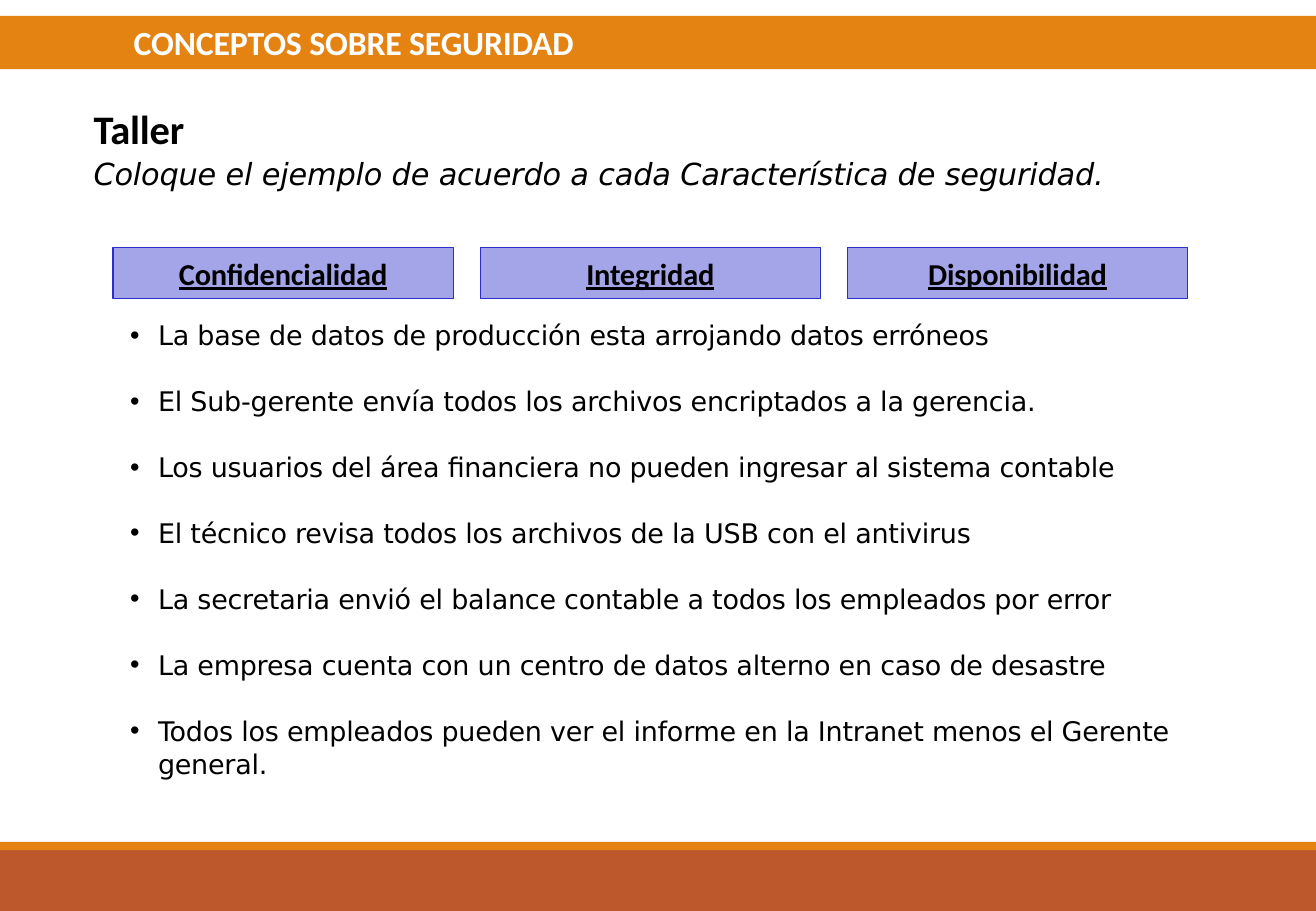
from lxml import etree
from pptx import Presentation
from pptx.dml.color import RGBColor
from pptx.enum.shapes import MSO_SHAPE
from pptx.enum.text import MSO_ANCHOR, MSO_AUTO_SIZE, PP_ALIGN
from pptx.oxml.ns import qn
from pptx.util import Inches, Pt

RECT = MSO_SHAPE.RECTANGLE
TOP, MIDDLE = MSO_ANCHOR.TOP, MSO_ANCHOR.MIDDLE
LEFT, CENTER = PP_ALIGN.LEFT, PP_ALIGN.CENTER
NO_FIT = MSO_AUTO_SIZE.NONE
WIDTH, HEIGHT = Inches(10.83), Inches(7.5)
ORANGE, RUST, LILAC, BLUE = "E48312", "BD582C", "A4A4E9", "2D2DCA"
HEADING, BODY = "Calibri", "DejaVu Sans"

CATEGORIES = ["Confidencialidad", "Integridad", "Disponibilidad"]
EXAMPLES = [
    "La base de datos de producción esta arrojando datos erróneos",
    "El Sub-gerente envía todos los archivos encriptados a la gerencia.",
    "Los usuarios del área financiera no pueden ingresar al sistema contable",
    "El técnico revisa todos los archivos de la USB con el antivirus",
    "La secretaria envió el balance contable a todos los empleados por error",
    "La empresa cuenta con un centro de datos alterno en caso de desastre",
    "Todos los empleados pueden ver el informe en la Intranet menos el Gerente general.",
]


def color(value):
    return RGBColor.from_string(value)


def share(x, y, w, h):
    return [int(part * size / 100)
            for part, size in zip((x, y, w, h), (WIDTH, HEIGHT, WIDTH, HEIGHT))]


def move(sp, box):
    sp.left, sp.top, sp.width, sp.height = share(*box)


def paint(sp, fill, line=None):
    sp.fill.solid()
    sp.fill.fore_color.rgb = color(fill)
    if line:
        sp.line.color.rgb = color(line)
        sp.line.width = Pt(0.72)
    else:
        sp.line.fill.background()


def add_bar(s, box, fill, line=None):
    sp = s.shapes.add_shape(RECT, *share(*box))
    sp.shadow.inherit = False
    paint(sp, fill, line)
    return sp


def add_bullet(p):
    pPr = p._p.get_or_add_pPr()
    pPr.set("marL", str(Inches(0.25)))
    pPr.set("indent", str(-Inches(0.23)))
    etree.SubElement(pPr, qn("a:buChar")).set("char", "•")


def write(sp, *texts, font=HEADING, size=18, fill="000000", bold=False, italic=False,
          underline=False, align=LEFT, anchor=TOP, left=0, bullets=False,
          leading=1.0, gap=0):
    tf = sp.text_frame
    tf.word_wrap, tf.auto_size, tf.vertical_anchor = True, NO_FIT, anchor
    tf.margin_left = Inches(left)
    tf.margin_top = tf.margin_right = tf.margin_bottom = 0
    for i, text in enumerate(texts):
        p = tf.add_paragraph() if i else tf.paragraphs[0]
        if bullets:
            add_bullet(p)
        p.alignment, p.line_spacing = align, leading
        p.space_before = Pt(gap if i else 0)
        r = p.add_run()
        r.text = text
        r.font.name, r.font.size = font, Pt(size)
        r.font.bold, r.font.italic, r.font.underline = bold, italic, underline
        r.font.color.rgb = color(fill)
        r._r.get_or_add_rPr().set("spc", "-10")


def add_label(s, box, text, **fmt):
    write(s.shapes.add_textbox(*share(*box)), text, **fmt)


def main():
    prs = Presentation()
    prs.slide_width, prs.slide_height = WIDTH, HEIGHT
    s = prs.slides.add_slide(prs.slide_layouts[1])

    add_bar(s, (0, 93.33, 100, 6.67), RUST)
    add_bar(s, (0, 92.4, 100, 0.93), ORANGE)

    title, body = s.placeholders
    move(title, (0, 1.73, 100, 5.87))
    paint(title, ORANGE)
    write(title, "CONCEPTOS SOBRE SEGURIDAD", size=20, fill="FFFFFF", bold=True,
          anchor=MIDDLE, left=1.1)

    add_label(s, (7.11, 11.47, 87, 5.4), "Taller", size=24, bold=True)
    add_label(s, (7.11, 17.07, 84, 4.3),
              "Coloque el ejemplo de acuerdo a cada Característica de seguridad.",
              font=BODY, italic=True)

    for i, category in enumerate(CATEGORIES):
        sp = add_bar(s, (8.59 + 27.9 * i, 27.2, 25.85, 5.6), LILAC, BLUE)
        write(sp, category, bold=True, underline=True, align=CENTER, anchor=MIDDLE)

    move(body, (9.7, 34.93, 81.07, 50.13))
    write(body, *EXAMPLES, font=BODY, size=16, bullets=True, leading=Pt(19.5), gap=19.6)

    prs.save("out.pptx")


if __name__ == "__main__":
    main()
